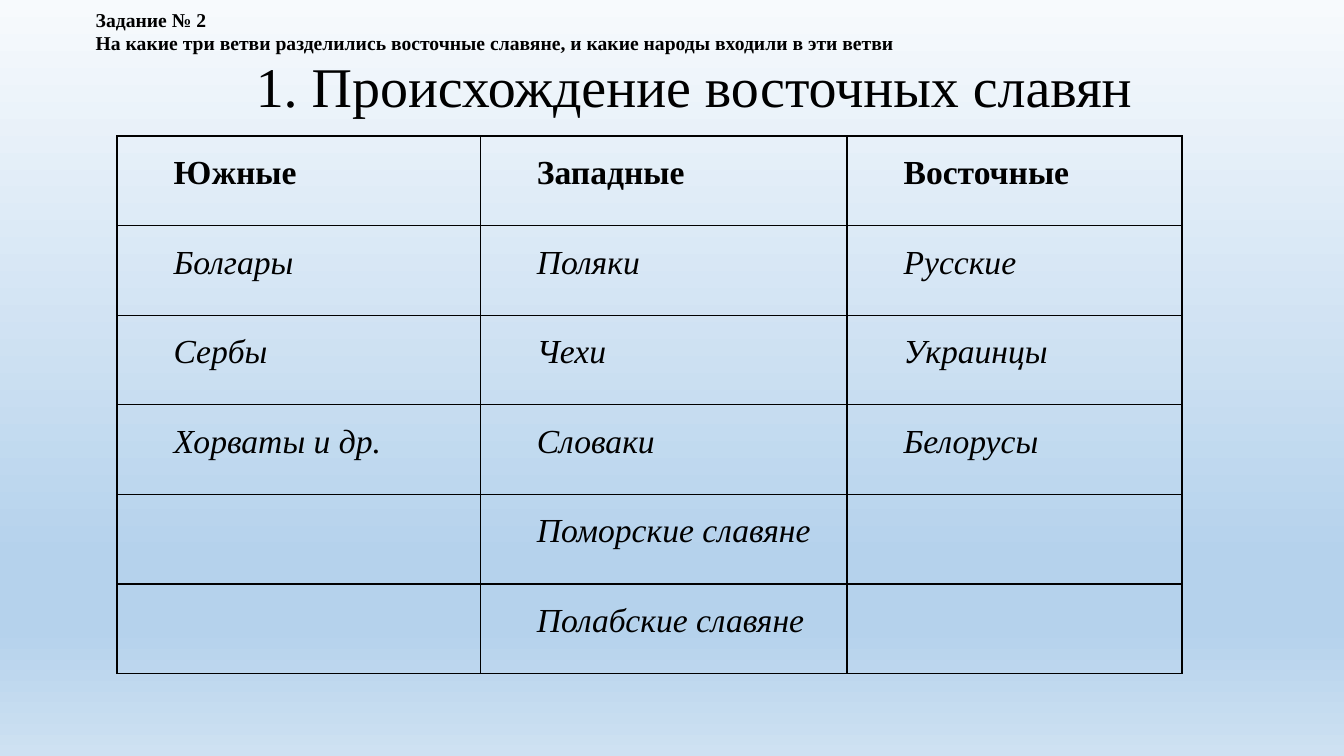
"""Build a slide with a table of the three branches of the Slavs."""
from dataclasses import dataclass, field
from typing import Any

from lxml import etree
from pptx import Presentation
from pptx.dml.color import RGBColor
from pptx.enum.text import MSO_ANCHOR, MSO_AUTO_SIZE, PP_ALIGN
from pptx.oxml.ns import qn
from pptx.util import Pt

CENTER, LEFT, JUSTIFY = PP_ALIGN.CENTER, PP_ALIGN.LEFT, PP_ALIGN.JUSTIFY
TOP, MIDDLE = MSO_ANCHOR.TOP, MSO_ANCHOR.MIDDLE
NO_AUTOFIT = MSO_AUTO_SIZE.NONE

COLOURS = {"ink": "000000", "pale": "F7FAFD", "sky": "B5D2EC", "mist": "CEE1F2"}
GRADIENT = [(0, "pale"), (74, "sky"), (83, "sky"), (100, "mist")]
FONT = "Times New Roman"
FIRST_LINE_INDENT = Pt(35.4)

COLUMN_WIDTHS = [259.5, 262, 239.3]
ROW_HEIGHT = 64
BRANCHES = {
    "Южные": ["Болгары", "Сербы", "Хорваты и др."],
    "Западные": ["Поляки", "Чехи", "Словаки", "Поморские славяне", "Полабские славяне"],
    "Восточные": ["Русские", "Украинцы", "Белорусы"],
}


@dataclass
class TextStyle:
    """Paragraph and font formats of one kind of text."""
    font: dict[str, Any]
    para: dict[str, Any]
    indented: bool = True


@dataclass
class TextBlock:
    """Text with its place on the page in points."""
    left: float
    top: float
    width: float
    height: float
    lines: list[str]
    style: TextStyle
    frame: dict[str, Any] = field(default_factory=dict)


CELL_PARA = {"alignment": JUSTIFY, "line_spacing": 1.5}
HEADER_STYLE = TextStyle({"size": Pt(24), "bold": True}, CELL_PARA)
PEOPLE_STYLE = TextStyle({"size": Pt(24), "italic": True}, CELL_PARA)
TITLE = TextBlock(
    155.5, 33.1, 680.4, 55.4, ["1. Происхождение восточных славян"],
    TextStyle({"size": Pt(40)}, {"alignment": CENTER}, indented=False),
    {"vertical_anchor": MIDDLE},
)
TASK = TextBlock(
    25.9, 0, 864, 63.4,
    ["Задание № 2",
     "На какие три ветви разделились восточные славяне, и какие народы входили в эти ветви"],
    TextStyle({"size": Pt(14), "bold": True}, {"alignment": LEFT}),
    {"vertical_anchor": TOP, "margin_top": Pt(5.4)},
)


def apply_formats(target: Any, formats: dict[str, Any]) -> None:
    """Set every attribute named in the formats."""
    for name, value in formats.items():
        setattr(target, name, value)


def write_lines(frame: Any, lines: list[str], style: TextStyle) -> None:
    """Fill a text frame with one styled paragraph per line."""
    for index, line in enumerate(lines):
        para = frame.add_paragraph() if index else frame.paragraphs[0]
        apply_formats(para, style.para)
        if style.indented:
            properties = para._p.get_or_add_pPr()
            properties.set("marL", "0")
            properties.set("indent", str(int(FIRST_LINE_INDENT)))
        span = para.add_run()
        span.text = line
        apply_formats(span.font, {"name": FONT, **style.font})
        span.font.color.rgb = RGBColor.from_string(COLOURS["ink"])


def fill_box(box: Any, block: TextBlock) -> None:
    """Place a box and write its text."""
    for side in ("left", "top", "width", "height"):
        setattr(box, side, Pt(getattr(block, side)))
    apply_formats(box.text_frame, {"word_wrap": True, "auto_size": NO_AUTOFIT, **block.frame})
    write_lines(box.text_frame, block.lines, block.style)


def paint_background(page: Any) -> None:
    """Give the page a vertical gradient."""
    fill = page.background.fill
    fill.gradient()
    fill.gradient_angle = 270
    stops = page._element.find(".//" + qn("a:gsLst"))
    for stop in list(stops):
        stops.remove(stop)
    for percent, colour in GRADIENT:
        stop = etree.SubElement(stops, qn("a:gs"), pos=str(percent * 1000))
        etree.SubElement(stop, qn("a:srgbClr"), val=COLOURS[colour])


def outline_cell(cell: Any) -> None:
    """Draw all four borders of a cell."""
    properties = cell._tc.get_or_add_tcPr()
    for side in ("lnL", "lnR", "lnT", "lnB"):
        line = etree.SubElement(properties, qn("a:" + side), w=str(int(Pt(1))))
        solid = etree.SubElement(line, qn("a:solidFill"))
        etree.SubElement(solid, qn("a:srgbClr"), val=COLOURS["ink"])


def add_branches(page: Any) -> None:
    """Add the table with one column per branch."""
    row_count = 1 + max(map(len, BRANCHES.values()))
    table = page.shapes.add_table(
        row_count, len(BRANCHES), Pt(83.6), Pt(97.2),
        Pt(sum(COLUMN_WIDTHS)), Pt(ROW_HEIGHT * row_count),
    ).table
    apply_formats(table, {"first_row": False, "horz_banding": False})
    for column, width in zip(table.columns, COLUMN_WIDTHS):
        column.width = Pt(width)
    for row in table.rows:
        row.height = Pt(ROW_HEIGHT)
    margins = {"margin_left": Pt(5), "margin_right": Pt(5), "margin_top": 0, "margin_bottom": 0}
    for cell in table.iter_cells():
        apply_formats(cell, margins)
        outline_cell(cell)
        cell.fill.background()
    for column_index, (branch, peoples) in enumerate(BRANCHES.items()):
        for row_index, name in enumerate([branch, *peoples]):
            style = PEOPLE_STYLE if row_index else HEADER_STYLE
            write_lines(table.cell(row_index, column_index).text_frame, [name], style)


def main() -> None:
    """Build and save the deck."""
    deck = Presentation()
    apply_formats(deck, {"slide_width": Pt(960), "slide_height": Pt(540)})
    page = deck.slides.add_slide(deck.slide_layouts[5])
    paint_background(page)
    fill_box(page.shapes.title, TITLE)
    add_branches(page)
    fill_box(page.shapes.add_textbox(0, 0, 0, 0), TASK)
    deck.save("out.pptx")


if __name__ == "__main__":
    main()
